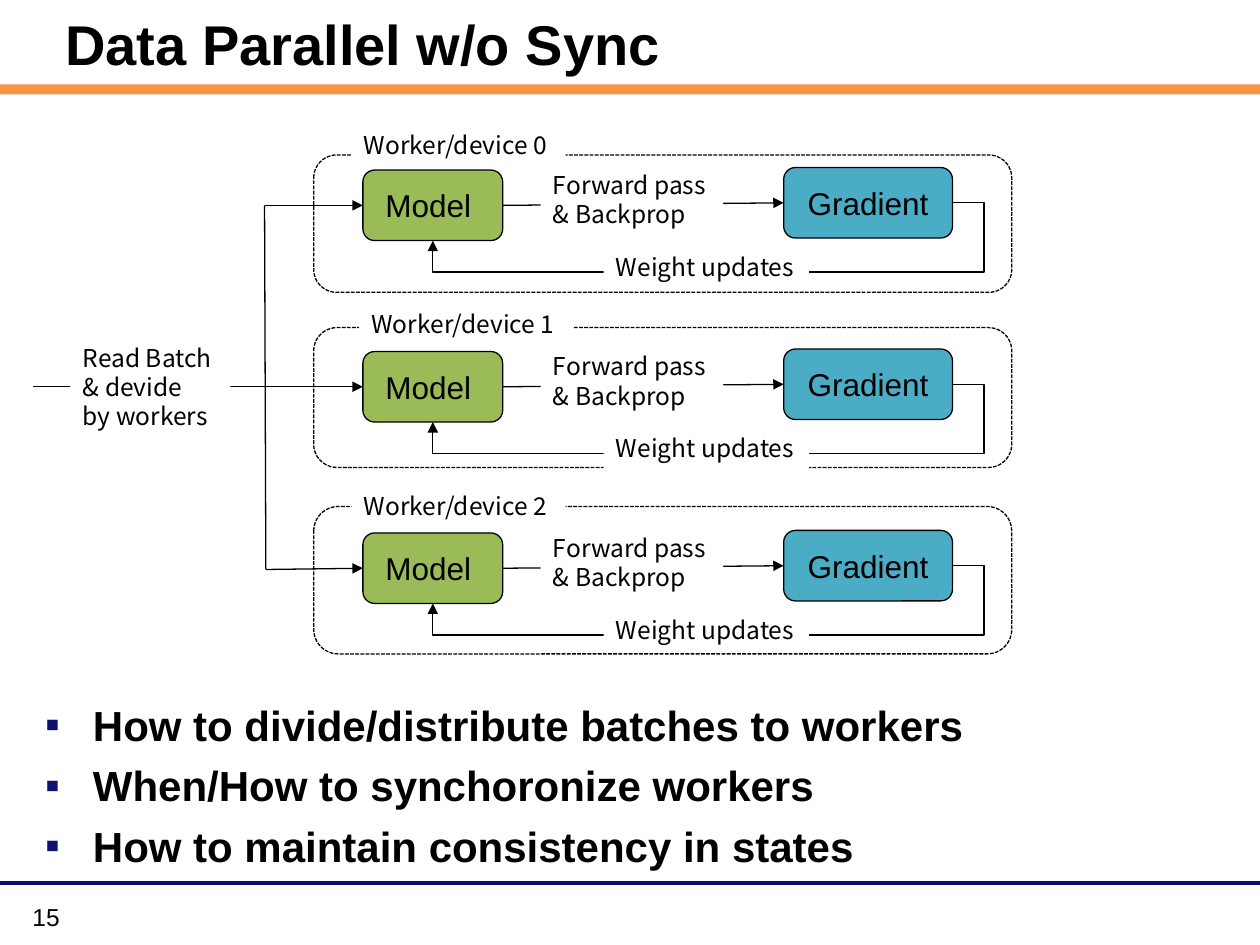
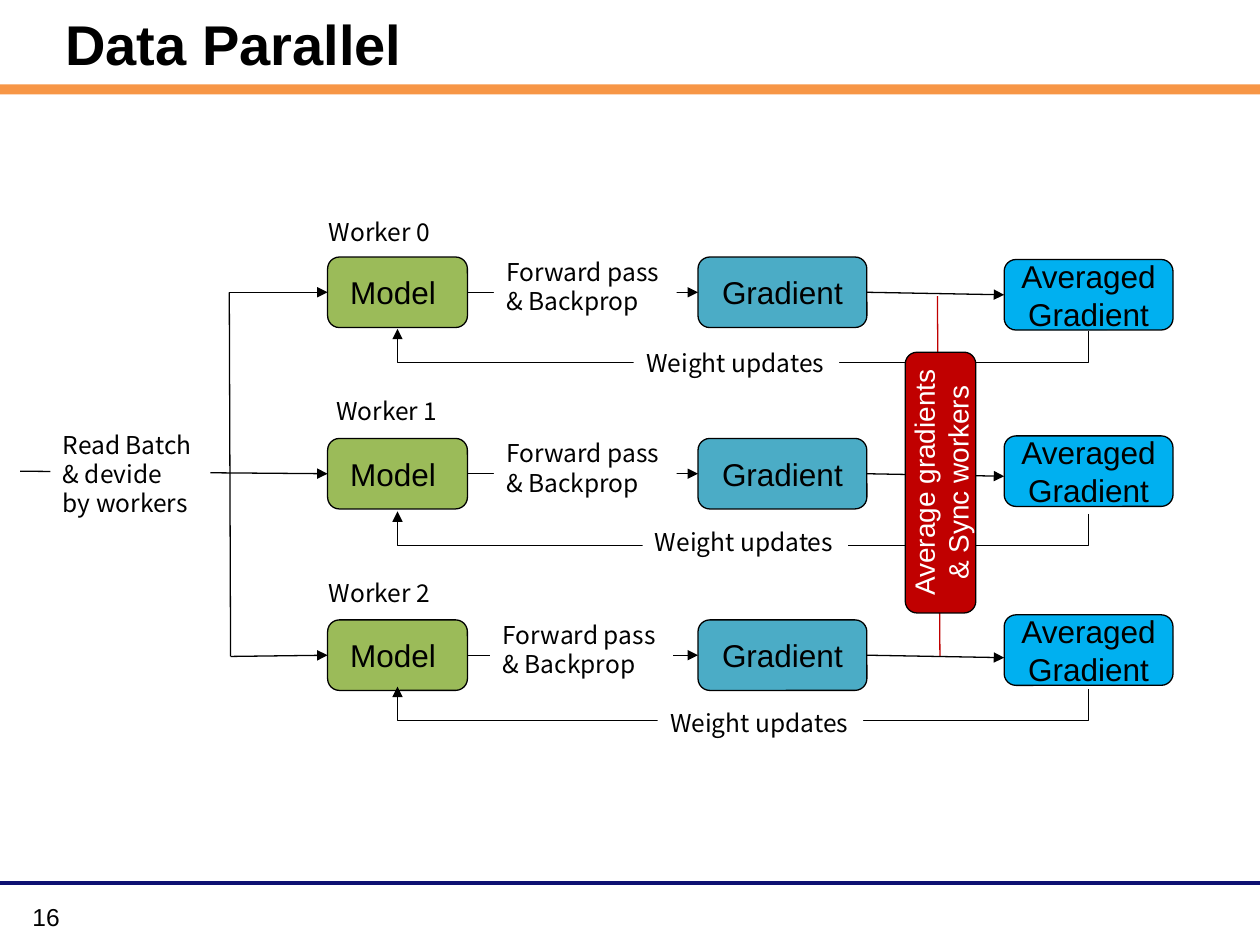
from dataclasses import dataclass

from lxml import etree
from pptx import Presentation
from pptx import util as u
from pptx.dml.color import RGBColor
from pptx.enum import dml, shapes, text
from pptx.oxml import ns


@dataclass(frozen=True)
class Theme:
    black: str = "000000"
    white: str = "FFFFFF"
    navy: str = "0E1172"
    orange: str = "F79646"
    green: str = "9BBB59"
    teal: str = "4BACC6"
    blue: str = "00B0F0"
    red: str = "C00000"
    font: str = "Arial"
    label_font: str = "Noto Sans CJK KR"
    title: int = 32
    body: int = 24
    node: int = 18
    sync: int = 16
    label: int = 14
    label_leading: float = 16.8
    hairline: float = 0.75
    rule: float = 2.25


T = Theme()
ROW_PITCH = 1.44
MODEL_W, GRADIENT_W, NODE_H = 1.11, 1.34, 0.56
MID = NODE_H / 2
RECT = shapes.MSO_SHAPE.RECTANGLE
ROUND = shapes.MSO_SHAPE.ROUNDED_RECTANGLE


def rgb(value):
    return RGBColor.from_string(value)


def inches(*values):
    return [u.Inches(v) for v in values]


def add_xml(parent, tag, **attrs):
    return etree.SubElement(parent, ns.qn(tag), attrs)


def write(tf, content, size=T.label, color=T.black, font=T.font, bold=False,
          align=None, anchor=text.MSO_ANCHOR.TOP, wrap=True, leading=None,
          gap=0, bullet=None):
    """Fill a text frame, one paragraph per line of content."""
    tf.word_wrap = wrap
    tf.vertical_anchor = anchor
    for i, line in enumerate(content.split("\n")):
        p = tf.paragraphs[0] if i == 0 else tf.add_paragraph()
        p.alignment = align or text.PP_ALIGN.LEFT
        if leading:
            p.line_spacing = u.Pt(leading)
        if i and gap:
            p.space_before = u.Pt(gap)
        if bullet:
            pPr = p._p.get_or_add_pPr()
            indent = u.Inches(0.38)
            pPr.set("marL", str(indent))
            pPr.set("indent", str(-indent))
            add_xml(add_xml(pPr, "a:buClr"), "a:srgbClr", val=T.navy)
            add_xml(pPr, "a:buFont", typeface=T.font)
            add_xml(pPr, "a:buChar", char=bullet)
        r = p.add_run()
        r.text = line
        r.font.name, r.font.size, r.font.bold = font, u.Pt(size), bold
        r.font.color.rgb = rgb(color)


def textbox(s, box, content, **fmt):
    write(s.shapes.add_textbox(*inches(*box)).text_frame, content, **fmt)


def shape(s, kind, box, fill=None, line=None):
    sp = s.shapes.add_shape(kind, *inches(*box))
    sp.shadow.inherit = False
    if fill:
        sp.fill.solid()
        sp.fill.fore_color.rgb = rgb(fill)
    else:
        sp.fill.background()
    if line:
        sp.line.color.rgb = rgb(line)
        sp.line.width = u.Pt(T.hairline)
    else:
        sp.line.fill.background()
    return sp


def node(s, box, content, fill, size=T.node, color=T.black):
    sp = shape(s, ROUND, box, fill, T.black)
    write(sp.text_frame, content, size=size, color=color,
          align=text.PP_ALIGN.CENTER, anchor=text.MSO_ANCHOR.MIDDLE)
    return sp


def label(s, box, content):
    """White patch that interrupts the lines beneath its text."""
    sp = shape(s, RECT, box, T.white)
    write(sp.text_frame, content, font=T.label_font, wrap=False,
          leading=T.label_leading)


def stroke(sp, color, width, arrow):
    sp.line.color.rgb = rgb(color)
    sp.line.width = u.Pt(width)
    if arrow:
        add_xml(sp._element.spPr.find(ns.qn("a:ln")), "a:tailEnd",
                type="triangle")


def line(s, start, end, color=T.black, width=T.hairline, arrow=False):
    sp = s.shapes.add_connector(shapes.MSO_CONNECTOR.STRAIGHT,
                                *inches(*start, *end))
    stroke(sp, color, width, arrow)
    add_xml(sp._element.spPr, "a:effectLst")


def bent_arrow(s, *points):
    pts = [inches(*p) for p in points]
    fb = s.shapes.build_freeform(*pts[0])
    fb.add_line_segments(pts[1:], close=False)
    sp = fb.convert_to_shape()
    sp.shadow.inherit = False
    sp.fill.background()
    stroke(sp, T.black, T.hairline, True)


def base_slide(prs, title, number):
    """Blank slide with title, orange band, footer rule and page number."""
    s = prs.slides.add_slide(prs.slide_layouts[6])
    line(s, (0, 7.01), (10, 7.01), T.navy, T.rule)
    shape(s, RECT, (0, 0.67, 10, 0.08), T.orange)
    textbox(s, (0.42, 0.03, 9.18, 0.62), title, size=T.title, bold=True,
            anchor=text.MSO_ANCHOR.MIDDLE)
    textbox(s, (0.16, 7.11, 2.33, 0.26), str(number))
    return s


def batch_input(s, x, y, start_x, start_y, label_box):
    """Batch source and its branches to the three models at x; y is row 0."""
    trunk = x - 0.78
    mids = [y + MID + i * ROW_PITCH for i in range(3)]
    line(s, (start_x, start_y), (x, mids[1]), arrow=True)
    line(s, (trunk, mids[0]), (x, mids[0]), arrow=True)
    line(s, (trunk + 0.01, mids[2] + 0.01), (x, mids[2]), arrow=True)
    line(s, (trunk, mids[0]), (trunk + 0.01, mids[2] + 0.01))
    label(s, label_box, "Read Batch\n& devide\nby workers")


def forward_pass(s, x, y, gradient_x, gradient_y, label_x):
    """Model at (x, y), its gradient, and the labelled arrow between."""
    node(s, (x, y, MODEL_W, NODE_H), "Model ", T.green)
    node(s, (gradient_x, gradient_y, GRADIENT_W, NODE_H), "Gradient", T.teal)
    line(s, (x + MODEL_W, y + MID), (gradient_x, gradient_y + MID), arrow=True)
    label(s, (label_x, y - 0.05, 1.45, 0.57), "Forward pass\n& Backprop")


def weight_label(s, x, y):
    label(s, (x, y, 1.63, 0.34), "Weight updates")


def unsynced_worker(s, x, y, name, name_x, name_y, frame_y, frame_h):
    """Self-contained worker in a dashed frame; (x, y) is its model."""
    frame = shape(s, ROUND, (x - 0.39, frame_y, 5.54, frame_h), line=T.black)
    frame.line.dash_style = dml.MSO_LINE.SQUARE_DOT
    gx, gy = x + 3.34, y - 0.02
    forward_pass(s, x, y, gx, gy, x + 1.41)
    right, low, up = gx + GRADIENT_W, y + 0.81, x + MODEL_W / 2
    bent_arrow(s, (right, gy + MID), (right + 0.25, gy + MID),
               (right + 0.25, low), (up, low), (up, y + NODE_H))
    weight_label(s, x + 1.91, y + 0.6)
    label(s, (name_x, name_y, 1.7, 0.34), name)


def synced_worker(s, x, y, name, name_x, name_y, forward_x, average_y,
                  return_y, update_x, update_y):
    """Worker whose weights come from an averaged gradient."""
    gx, ax = x + 2.94, x + 5.37
    forward_pass(s, x, y, gx, y, forward_x)
    label(s, (name_x, name_y, 1.01, 0.34), name)
    node(s, (ax, average_y, GRADIENT_W, NODE_H), "Averaged\nGradient", T.blue)
    line(s, (gx + GRADIENT_W, y + MID), (ax, y + MID + 0.02), arrow=True)
    right, up = ax + GRADIENT_W / 2, x + MODEL_W / 2
    bent_arrow(s, (right, return_y - 0.25), (right, return_y),
               (up, return_y), (up, return_y - 0.27))
    weight_label(s, update_x, update_y)


def unsynced_slide(prs):
    s = base_slide(prs, "Data Parallel w/o Sync", 15)
    x, y = 2.88, 1.35
    batch_input(s, x, y, 0.26, 3.07, (0.56, 2.67, 1.27, 0.81))
    # name x, name y, frame y, frame height
    rows = [(2.79, 0.98, 1.23, 1.09),
            (2.85, 2.4, 2.6, 1.11),
            (2.79, 3.85, 4.02, 1.17)]
    for i, row in enumerate(rows):
        unsynced_worker(s, x, y + i * ROW_PITCH, f"Worker/device {i}", *row)
    # Open questions
    textbox(s, (0.26, 5.5, 9.34, 1.44),
            "How to divide/distribute batches to workers\n"
            "When/How to synchoronize workers\n"
            "How to maintain consistency in states",
            size=T.body, bold=True, gap=5.8, bullet="▪")


def synced_slide(prs):
    s = base_slide(prs, "Data Parallel", 16)
    x, y = 2.6, 2.04
    line(s, (7.44, 2.35), (7.46, 5.21), T.red)
    batch_input(s, x, y, 0.16, 3.74, (0.4, 3.36, 1.27, 0.81))
    # name x, name y, forward label x, average y, return y, update label x, y
    rows = [(2.51, 1.67, 3.92, 2.06, 2.88, 5.03, 2.71),
            (2.57, 3.09, 3.92, 3.46, 4.33, 5.1, 4.13),
            (2.51, 4.54, 3.89, 4.88, 5.72, 5.22, 5.57)]
    for i, row in enumerate(rows):
        synced_worker(s, x, y + i * ROW_PITCH, f"Worker {i}", *row)
    # Synchronisation barrier across all workers
    barrier = node(s, (6.43, 3.55, 2.07, NODE_H),
                   "Average gradients\n& Sync workers", T.red, T.sync, T.white)
    barrier.rotation = 270


def main():
    prs = Presentation()
    prs.slide_width, prs.slide_height = inches(10, 7.5)
    unsynced_slide(prs)
    synced_slide(prs)
    prs.save("out.pptx")


if __name__ == "__main__":
    main()
